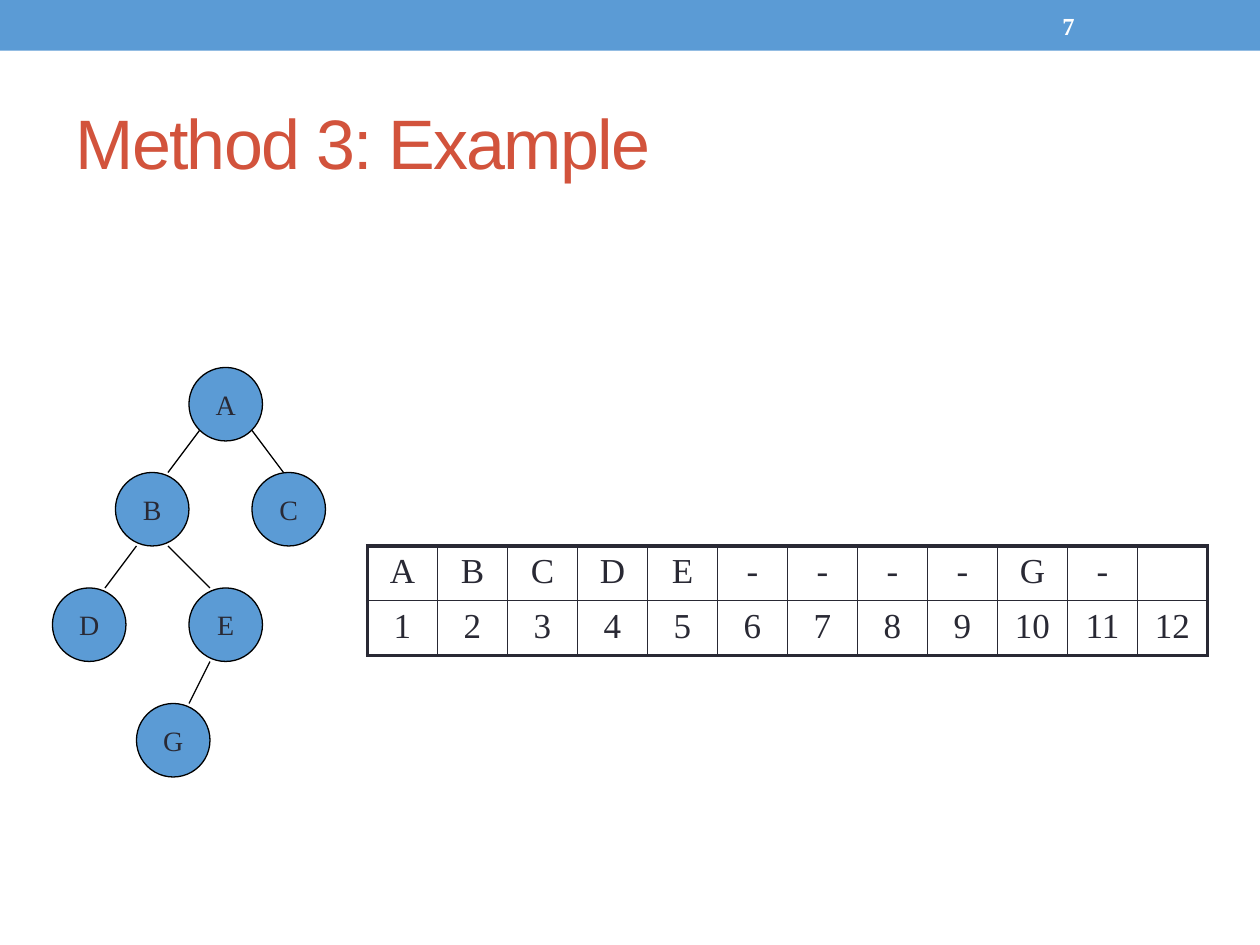
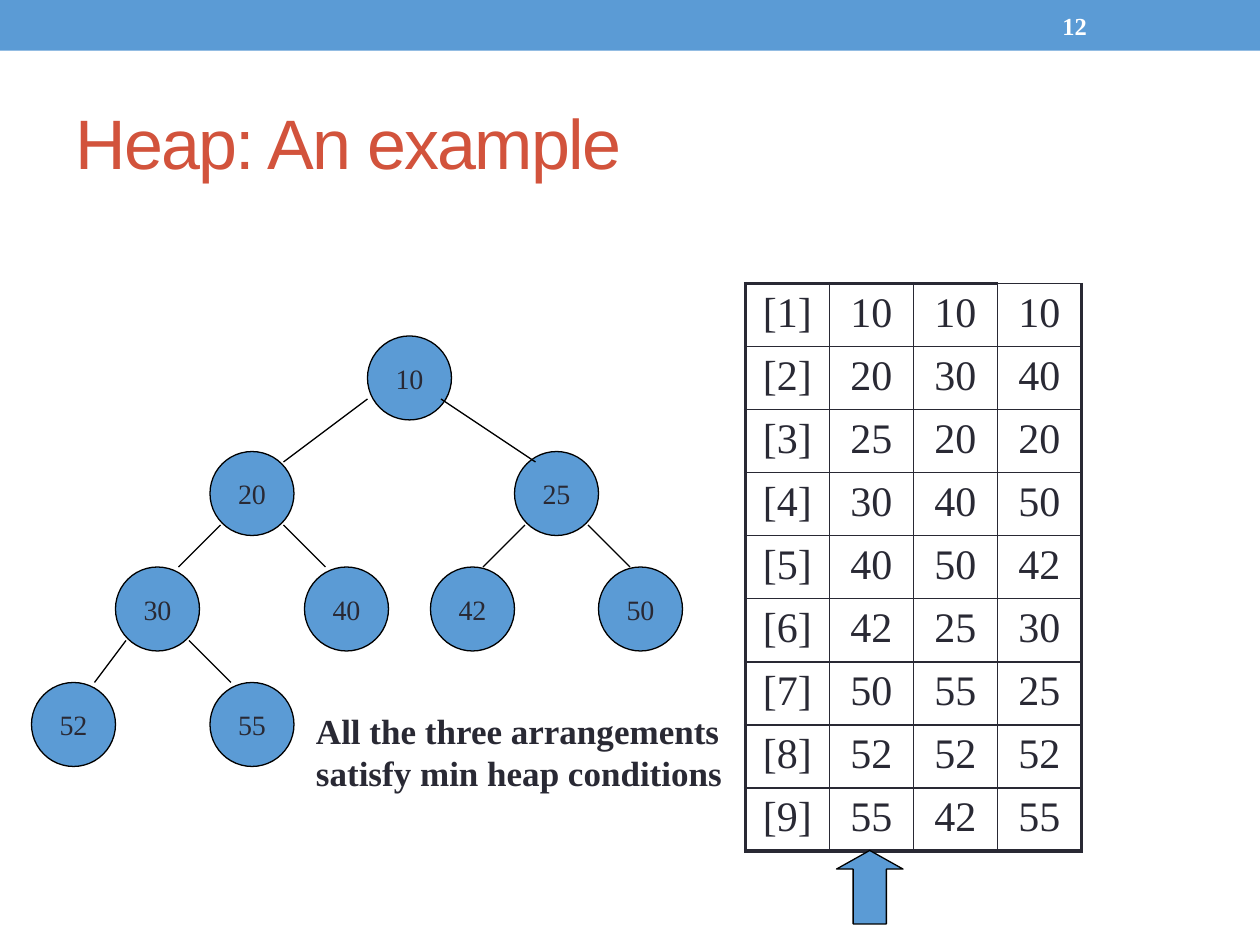
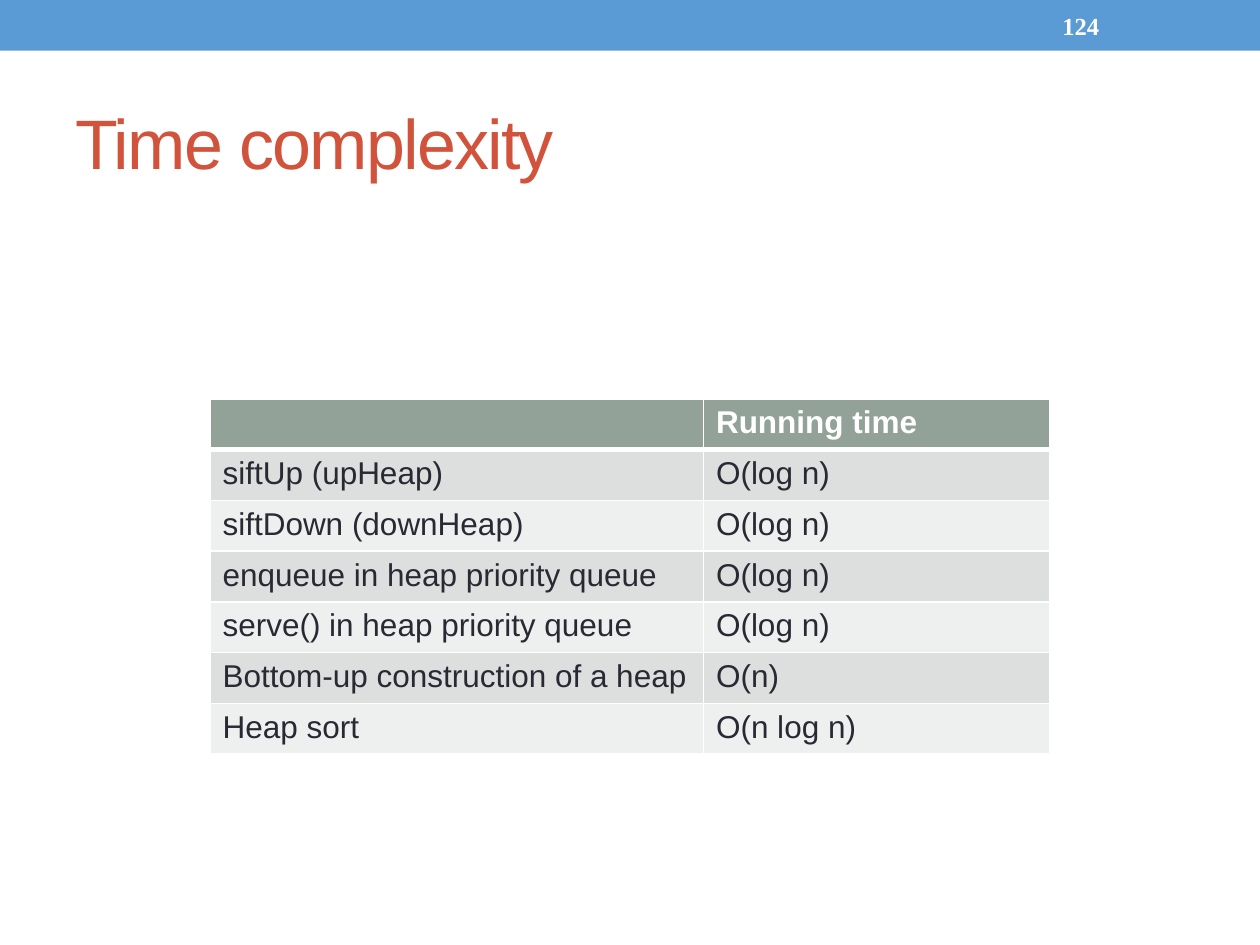
from dataclasses import dataclass
from lxml.etree import SubElement
from pptx import Presentation
from pptx.dml.color import RGBColor
from pptx.enum.shapes import MSO_CONNECTOR, MSO_SHAPE
from pptx.enum.text import MSO_ANCHOR, PP_ALIGN
from pptx.oxml import parse_xml
from pptx.oxml.ns import nsdecls, qn
from pptx.util import Pt


@dataclass(frozen=True)
class Theme:
    blue: str = "5B9BD5"
    red: str = "D2533C"
    ink: str = "292934"
    black: str = "000000"
    white: str = "FFFFFF"
    header: str = "93A299"
    odd_row: str = "DCDFDD"
    even_row: str = "EEF0EF"
    sans: str = "Arial"
    serif: str = "Times New Roman"
    title_size: int = 40
    number_size: int = 14
    node_size: int = 16
    note_size: int = 20
    outline: float = 0.75
    thin: float = 0.96
    thick: float = 2.21
    header_rule: float = 3


EMU_PER_PX = 6350
theme = Theme()


def px(*lengths):
    return [length * EMU_PER_PX for length in lengths]


def write(para, text, size, font, color, bold=False, align=PP_ALIGN.LEFT):
    para.alignment = align
    span = para.add_run()
    span.text = text
    span.font.size = Pt(size)
    span.font.name = font
    span.font.bold = bold
    span.font.color.rgb = RGBColor.from_string(color)
    return span


deck = Presentation()
deck.slide_width, deck.slide_height = px(1440, 1080)
layout = deck.slide_layouts[5]

headings = [("Method 3: Example", "7"), ("Heap: An example", "12"), ("Time complexity", "124")]
for heading, number in headings:
    page = deck.slides.add_slide(layout)
    title = page.shapes.title
    title.left, title.top, title.width, title.height = px(72, 84, 1296, 156)
    title.text_frame.vertical_anchor = MSO_ANCHOR.MIDDLE
    span = write(title.text_frame.paragraphs[0], heading, theme.title_size, theme.sans, theme.red)
    span.font._element.set("spc", "-100")
    box = page.shapes.add_textbox(*px(1200, 3, 168, 52))
    box.text_frame.word_wrap = True
    box.text_frame.vertical_anchor = MSO_ANCHOR.MIDDLE
    write(box.text_frame.paragraphs[0], number, theme.number_size, theme.serif, theme.white, True)

method_page, heap_page, time_page = deck.slides

band = method_page.shapes.add_shape(MSO_SHAPE.RECTANGLE, *px(0, 0, 1440, 58))
band.shadow.inherit = False
band.fill.solid()
band.fill.fore_color.rgb = RGBColor.from_string(theme.blue)
band.line.fill.background()
layout.shapes.element.insert(2, band.element)

trees = [
    (
        method_page,
        84,
        {"A": (216, 420), "D": (60, 672), "B": (132, 540), "C": (288, 540), "E": (216, 672), "G": (156, 804)},
        [
            (228, 492, 192, 540),
            (288, 492, 324, 540),
            (156, 624, 120, 672),
            (192, 624, 240, 672),
            (240, 756, 216, 804),
        ],
    ),
    (
        heap_page,
        96,
        {
            "10": (420, 384),
            "25": (588, 516),
            "20": (240, 516),
            "30": (132, 648),
            "40": (348, 648),
            "42": (492, 648),
            "50": (684, 648),
            "52": (36, 780),
            "55": (240, 780),
        },
        [
            (420, 456, 324, 528),
            (504, 456, 612, 528),
            (252, 600, 204, 648),
            (324, 600, 372, 648),
            (600, 600, 552, 648),
            (672, 600, 720, 648),
            (144, 732, 108, 780),
            (216, 732, 264, 780),
        ],
    ),
]
for page, diameter, nodes, edges in trees:
    tree = page.shapes.add_group_shape()
    for label, (left, top) in nodes.items():
        node = tree.shapes.add_shape(MSO_SHAPE.OVAL, *px(left, top, diameter, diameter))
        node.shadow.inherit = False
        node.fill.solid()
        node.fill.fore_color.rgb = RGBColor.from_string(theme.blue)
        node.line.color.rgb = RGBColor.from_string(theme.black)
        node.line.width = Pt(theme.outline)
        node.text_frame.word_wrap = False
        node.text_frame.vertical_anchor = MSO_ANCHOR.MIDDLE
        write(node.text_frame.paragraphs[0], label, theme.node_size, theme.serif, theme.ink, align=PP_ALIGN.CENTER)
    for edge in edges:
        branch = tree.shapes.add_connector(MSO_CONNECTOR.STRAIGHT, *px(*edge))
        branch.line.color.rgb = RGBColor.from_string(theme.black)
        branch.line.width = Pt(theme.outline)
        SubElement(branch.element.spPr, qn("a:effectLst"))

array_rows = [
    ["A", "B", "C", "D", "E", "-", "-", "-", "-", "G", "-", ""],
    [str(index) for index in range(1, 13)],
]
arrangements = [
    [10, 20, 25, 30, 40, 42, 50, 52, 55],
    [10, 30, 20, 40, 50, 25, 55, 52, 42],
    [10, 40, 20, 50, 42, 30, 25, 52, 55],
]
heap_rows = [
    [f"[{index}]", *map(str, values)]
    for index, values in enumerate(zip(*arrangements), start=1)
]
time_rows = [
    ["", "Running time"],
    ["siftUp (upHeap)", "O(log n)"],
    ["siftDown (downHeap)", "O(log n)"],
    ["enqueue in heap priority queue", "O(log n)"],
    ["serve() in heap priority queue", "O(log n)"],
    ["Bottom-up construction of a heap", "O(n)"],
    ["Heap sort", "O(n log n)"],
]
grids = [
    (method_page, 420, 624, [80] * 12, 60, array_rows, 20, False),
    (heap_page, 852, 324, [96] * 4, 71, heap_rows, 24, False),
    (time_page, 240, 456, [564, 396], 58, time_rows, 18, True),
]
for page, left, top, widths, row_height, rows, size, shaded in grids:
    frame = page.shapes.add_table(
        len(rows), len(widths), *px(left, top, sum(widths), row_height * len(rows))
    )
    table = frame.table
    table.first_row = shaded
    table.horz_banding = shaded
    for column, width in zip(table.columns, px(*widths)):
        column.width = width
    last_row, last_column = len(rows) - 1, len(widths) - 1
    outer = theme.thin if shaded else theme.thick
    border_color = theme.white if shaded else theme.ink
    for row_index, row in enumerate(rows):
        is_header = shaded and row_index == 0
        for column_index, text in enumerate(row):
            cell = table.cell(row_index, column_index)
            if shaded:
                fill = theme.header if is_header else (theme.even_row, theme.odd_row)[row_index % 2]
                cell.fill.solid()
                cell.fill.fore_color.rgb = RGBColor.from_string(fill)
            else:
                cell.fill.background()
            if text:
                write(
                    cell.text_frame.paragraphs[0],
                    text,
                    size,
                    theme.sans if shaded else theme.serif,
                    theme.white if is_header else theme.ink,
                    is_header,
                    PP_ALIGN.LEFT if shaded else PP_ALIGN.CENTER,
                )
            borders = {
                "lnL": outer if column_index == 0 else theme.thin,
                "lnR": outer if column_index == last_column else theme.thin,
                "lnT": outer if row_index == 0 else theme.thin,
                "lnB": outer if row_index == last_row else theme.thin,
            }
            if is_header:
                borders["lnB"] = theme.header_rule
            if shaded and row_index == 1:
                borders["lnT"] = theme.header_rule
            if page is heap_page and row_index == 0 and column_index == last_column:
                borders["lnT"] = theme.thin
            properties = cell._tc.get_or_add_tcPr()
            for position, (side, weight) in enumerate(borders.items()):
                properties.insert(position, parse_xml(
                    f'<a:{side} {nsdecls("a")} w="{Pt(weight)}"><a:solidFill>'
                    f'<a:srgbClr val="{border_color}"/></a:solidFill></a:{side}>'
                ))
    for table_row in table.rows:
        table_row.height = row_height * EMU_PER_PX

arrow = heap_page.shapes.add_shape(MSO_SHAPE.UP_ARROW, *px(956, 972, 76, 84))
arrow.adjustments[0] = 0.5
arrow.adjustments[1] = 0.28
arrow.shadow.inherit = False
arrow.fill.solid()
arrow.fill.fore_color.rgb = RGBColor.from_string(theme.blue)
arrow.line.color.rgb = RGBColor.from_string(theme.black)
arrow.line.width = Pt(theme.outline)

note = heap_page.shapes.add_textbox(*px(347, 804, 494, 111))
note.text_frame.word_wrap = False
note_lines = ["All the three arrangements", "satisfy min heap conditions"]
for index, line in enumerate(note_lines):
    para = note.text_frame.add_paragraph() if index else note.text_frame.paragraphs[0]
    write(para, line, theme.note_size, theme.serif, theme.ink, True)

deck.save("out.pptx")
